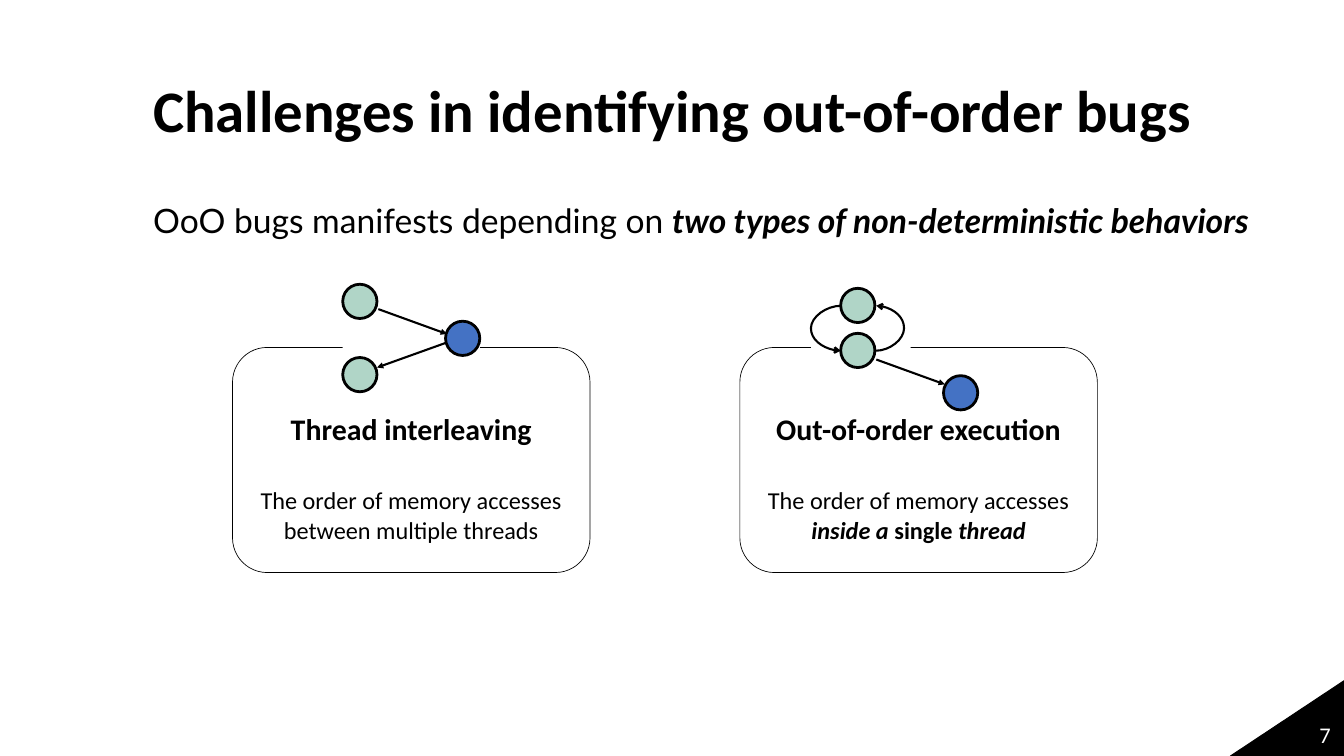
import pptx
import pptx.util
import pptx.dml.color
import pptx.enum.shapes
import pptx.enum.text
import pptx.oxml
import pptx.oxml.ns
from dataclasses import dataclass

Inches = pptx.util.Inches
Pt = pptx.util.Pt
Shape = pptx.enum.shapes.MSO_SHAPE
Link = pptx.enum.shapes.MSO_CONNECTOR
Align = pptx.enum.text.PP_ALIGN
Anchor = pptx.enum.text.MSO_ANCHOR


@dataclass(frozen=True)
class Theme:
    black: str = "000000"
    white: str = "FFFFFF"
    green: str = "B0D5C7"
    blue: str = "4472C4"
    font: str = "Calibri"
    lead: str = "Lato"
    title: int = 63
    intro: int = 36
    head: int = 32
    body: int = 26
    page: int = 24


theme = Theme()
NODE = 0.51


def color(code):
    return pptx.dml.color.RGBColor.from_string(code)


def draw(shapes, kind, box, fill, width=0):
    shape = shapes.add_shape(kind, *map(Inches, box))
    shape.shadow.inherit = False
    shape.fill.solid()
    shape.fill.fore_color.rgb = color(fill)
    if width:
        shape.line.color.rgb = color(theme.black)
        shape.line.width = Pt(width)
    else:
        shape.line.fill.background()
    return shape


def write(para, parts, size, font=theme.font, tint=theme.black, align=Align.CENTER):
    para.alignment = align
    for text, bold, italic in parts:
        run = para.add_run()
        run.text = text
        run.font.size, run.font.name = Pt(size), font
        run.font.bold, run.font.italic = bold, italic
        run.font.color.rgb = color(tint)


def label(slide, box, parts, size, anchor=Anchor.MIDDLE, space=1.0, **style):
    frame = slide.shapes.add_textbox(*map(Inches, box)).text_frame
    frame.word_wrap = True
    frame.vertical_anchor = anchor
    para = frame.paragraphs[0]
    para.line_spacing = space
    write(para, parts, size, **style)


def arrow(shapes, kind, start, end, tip):
    link = shapes.add_connector(kind, *map(Inches, (*start, *end)))
    link.line.color.rgb = color(theme.black)
    link.line.width = Pt(2.25)
    props = link._element.spPr
    tail = pptx.oxml.parse_xml(f'<a:tailEnd {pptx.oxml.ns.nsdecls("a")} type="{tip}"/>')
    props.find(pptx.oxml.ns.qn("a:ln")).append(tail)
    props.append(pptx.oxml.parse_xml(f'<a:effectLst {pptx.oxml.ns.nsdecls("a")}/>'))
    return link


def curve(shapes, left, top, bulge, turn=False):
    width, height = 0.01, 0.67
    link = arrow(shapes, Link.CURVE, (left, top + height), (left + width, top), "arrow")
    props = link._element.spPr
    ratio = round(bulge / width * 100000)
    props.prstGeom.get_or_add_avLst().append(pptx.oxml.parse_xml(
        f'<a:gd {pptx.oxml.ns.nsdecls("a")} name="adj1" fmla="val {ratio}"/>'))
    if turn:
        props.find(pptx.oxml.ns.qn("a:xfrm")).set("rot", "10800000")


def card(slide, box, head, parts, mask, nodes):
    left, top, width, height = box
    shapes = slide.shapes.add_group_shape().shapes
    panel = draw(shapes, Shape.ROUNDED_RECTANGLE, box, theme.white, 0.75)
    panel.adjustments[0] = 0.154
    frame = panel.text_frame
    frame.word_wrap = True
    frame.vertical_anchor = Anchor.TOP
    frame.margin_left = frame.margin_right = frame.margin_bottom = Inches(0.1)
    frame.margin_top = Inches(0.79)
    write(frame.paragraphs[0], [(head, True, False)], theme.head)
    para = frame.add_paragraph()
    para.space_before = Pt(42)
    write(para, parts, theme.body)
    x, y, w, h = mask
    draw(shapes, Shape.RECTANGLE, (left + x, top + y, w, h), theme.white)
    for (x, y), fill in zip(nodes, (theme.green, theme.green, theme.blue)):
        draw(shapes, Shape.OVAL, (left + x, top + y, NODE, NODE), fill, 3)
    return shapes


def threads(slide, box):
    left, top = box[:2]
    parts = [("The order of memory accesses between multiple threads", False, False)]
    shapes = card(slide, box, "Thread interleaving", parts, (1.64, -1.05, 2.04, 1.8),
                  [(1.64, -0.94), (1.64, 0.15), (3.17, -0.39)])
    for start, end in (((2.17, -0.57), (3.19, -0.2)), ((3.18, -0.07), (2.15, 0.3))):
        arrow(shapes, Link.STRAIGHT, (left + start[0], top + start[1]),
              (left + end[0], top + end[1]), "triangle")


def order(slide, box):
    left, top = box[:2]
    parts = [("The order of memory accesses ", False, False), ("inside a ", True, True),
             ("single", True, False), (" thread", True, True)]
    shapes = card(slide, box, "Out-of-order execution", parts, (1.06, -0.94, 1.48, 1.8),
                  [(1.5, -0.88), (1.5, -0.21), (3.03, 0.42)])
    arrow(shapes, Link.STRAIGHT, (left + 2.03, top + 0.18), (left + 3.05, top + 0.55), "triangle")
    curve(shapes, left + 1.5, top - 0.62, 0.46, turn=True)
    curve(shapes, left + 2.02, top - 0.62, 0.43)


def corner(slide, box):
    left, top, width, height = box
    wedge = draw(slide.shapes, Shape.RIGHT_TRIANGLE, box, theme.black, 1)
    wedge._element.spPr.find(pptx.oxml.ns.qn("a:xfrm")).set("flipH", "1")
    label(slide, (left + width - 4.6, top + 0.5, 4.5, 0.6), [("7", False, False)],
          theme.page, tint=theme.white, align=Align.RIGHT)


def main():
    deck = pptx.Presentation()
    deck.slide_width, deck.slide_height = Inches(20), Inches(11.25)
    slide = deck.slides.add_slide(deck.slide_layouts[6])
    corner(slide, (18.31, 10.13, 1.69, 1.12))
    label(slide, (1.38, 0.6, 17.25, 2.17),
          [("Challenges in identifying out-of-order bugs", True, False)],
          theme.title, space=0.9)
    threads(slide, (3.46, 5.17, 5.32, 3.35))
    order(slide, (11.01, 5.17, 5.32, 3.35))
    label(slide, (2.18, 3, 17.05, 0.8),
          [("OoO bugs manifests depending on ", False, False),
           ("two types of non-deterministic behaviors", True, True)],
          theme.intro, Anchor.TOP, 0.9, font=theme.lead, align=Align.LEFT)
    deck.save("out.pptx")


if __name__ == "__main__":
    main()
